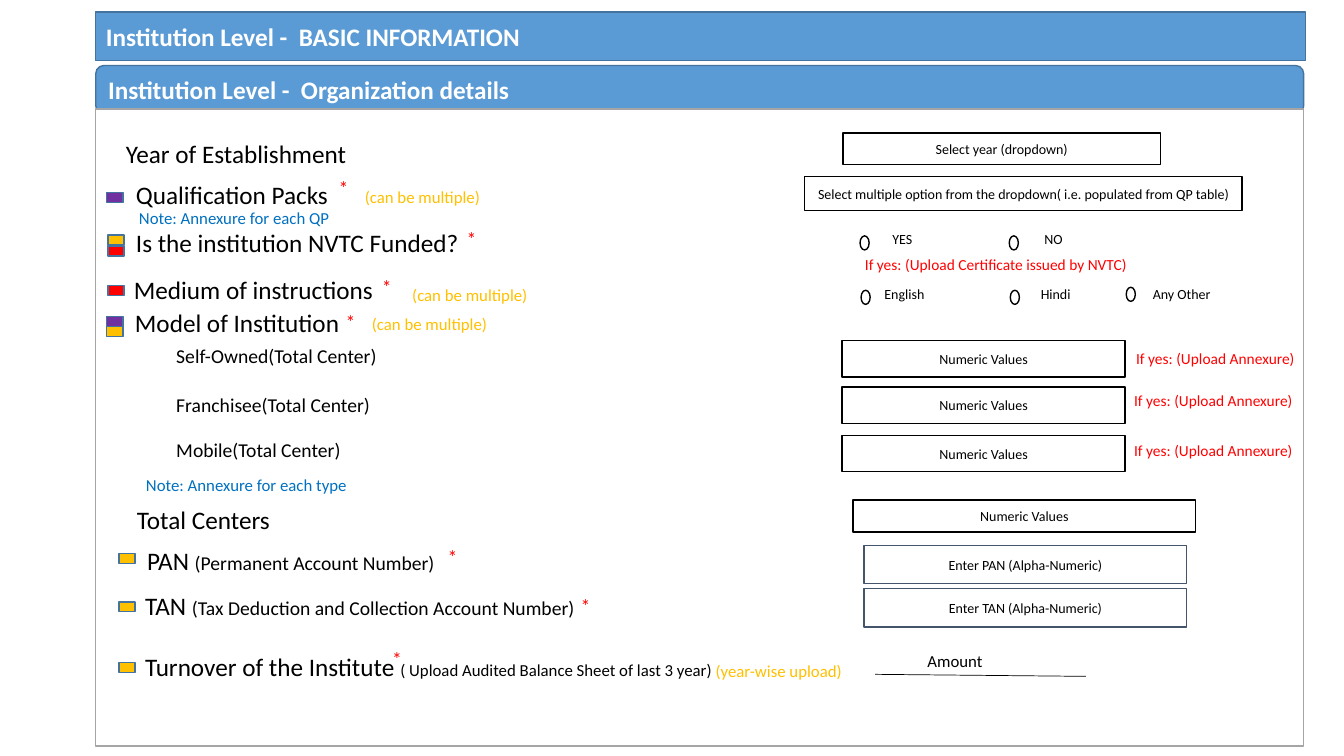
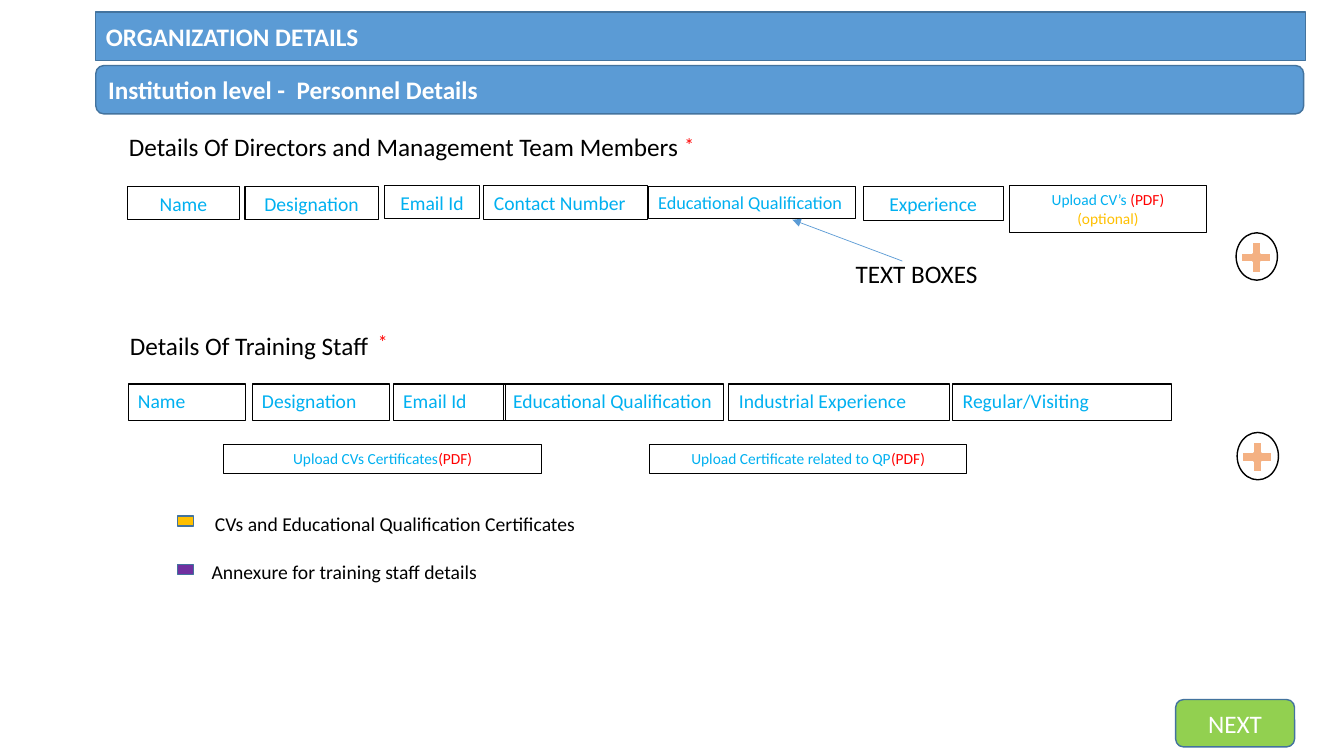
from dataclasses import dataclass

from lxml import etree
from pptx import Presentation
from pptx.dml.color import RGBColor
from pptx.enum.shapes import MSO_CONNECTOR, MSO_SHAPE
from pptx.enum.text import MSO_ANCHOR, MSO_AUTO_SIZE, PP_ALIGN
from pptx.oxml.ns import qn
from pptx.util import Inches, Pt

RECTANGLE = MSO_SHAPE.RECTANGLE
ROUNDED = MSO_SHAPE.ROUNDED_RECTANGLE
OVAL = MSO_SHAPE.OVAL
MINUS = MSO_SHAPE.MATH_MINUS
PLUS = MSO_SHAPE.MATH_PLUS
STRAIGHT = MSO_CONNECTOR.STRAIGHT
LEFT, CENTER = PP_ALIGN.LEFT, PP_ALIGN.CENTER
TOP, MIDDLE = MSO_ANCHOR.TOP, MSO_ANCHOR.MIDDLE
NO_AUTOFIT = MSO_AUTO_SIZE.NONE


@dataclass(frozen=True)
class Theme:
    font: str = "Calibri"
    black: str = "000000"
    white: str = "FFFFFF"
    band: str = "5B9BD5"
    edge: str = "43739E"
    panel_edge: str = "A5A5A5"
    slate: str = "44546A"
    red: str = "FF0000"
    amber: str = "FFC000"
    purple: str = "7030A0"
    note: str = "0070C0"
    field: str = "00B0F0"
    peach: str = "F4B183"
    green: str = "92D050"
    heading: int = 18
    label: int = 14
    compact: int = 13
    hint: int = 12
    upload: int = 11
    small: int = 10


THEME = Theme()
TITLE_BOX = (0.95, 0.12, 12, 0.48)
SUBTITLE_BOX = (0.95, 0.65, 11.98, 0.48)


def write_text(shape, *paragraphs, size=THEME.heading, color=THEME.black,
               bold=False, align=LEFT, anchor=TOP):
    frame = shape.text_frame
    frame.word_wrap = True
    frame.auto_size = NO_AUTOFIT
    frame.vertical_anchor = anchor
    for index, runs in enumerate(paragraphs):
        paragraph = frame.paragraphs[0] if index == 0 else frame.add_paragraph()
        paragraph.alignment = align
        for text, changes in [(runs, {})] if isinstance(runs, str) else runs:
            run = paragraph.add_run()
            run.text = text
            run.font.name = THEME.font
            run.font.bold = bold
            run.font.size = Pt(changes.get("size", size))
            run.font.color.rgb = RGBColor.from_string(changes.get("color", color))


def paint(shape, fill, line, width):
    if fill:
        shape.fill.solid()
        shape.fill.fore_color.rgb = RGBColor.from_string(fill)
    else:
        shape.fill.background()
    shape.line.color.rgb = RGBColor.from_string(line)
    shape.line.width = Pt(width)


def add_block(slide, kind, box, fill=None, line=THEME.black, width=1):
    shape = slide.shapes.add_shape(kind, *map(Inches, box))
    shape.shadow.inherit = False
    paint(shape, fill, line, width)
    return shape


def add_label(slide, left, top, width, height, *paragraphs, **text_format):
    box = slide.shapes.add_textbox(*map(Inches, (left, top, width, height)))
    write_text(box, *paragraphs, **text_format)


def add_field(slide, box, text, line=THEME.black):
    shape = add_block(slide, RECTANGLE, box, line=line)
    write_text(shape, text, size=THEME.small, align=CENTER, anchor=MIDDLE)


def add_column_box(slide, box, *paragraphs, **text_format):
    shape = add_block(slide, RECTANGLE, box, width=0.75)
    write_text(shape, *paragraphs, **{"color": THEME.field, **text_format})


def add_marker(slide, left, top, color):
    add_block(slide, MINUS, (left, top, 0.22, 0.42), color, THEME.edge)


def add_star(slide, left, top):
    add_label(slide, left, top, 0.65, 0.34, "*", size=THEME.label, color=THEME.red)


def add_radio(slide, left, top):
    add_block(slide, OVAL, (left, top, 0.09, 0.14))


def add_plus_button(slide, left, top):
    add_block(slide, OVAL, (left, top, 0.41, 0.47), THEME.white)
    add_block(slide, PLUS, (left, top + 0.04, 0.4, 0.41), THEME.peach, THEME.white, 1.5)


def add_line(slide, start, end, color, arrow=False):
    connector = slide.shapes.add_connector(STRAIGHT, *map(Inches, start + end))
    connector.line.color.rgb = RGBColor.from_string(color)
    connector.line.width = Pt(0.5)
    properties = connector.element.spPr
    if arrow:
        etree.SubElement(properties.find(qn("a:ln")), qn("a:tailEnd"), type="triangle")
    etree.SubElement(properties, qn("a:effectLst"))


def start_slide(presentation, title, subtitle):
    slide = presentation.slides.add_slide(presentation.slide_layouts[5])
    heading = slide.shapes.title
    heading.left, heading.top, heading.width, heading.height = map(Inches, TITLE_BOX)
    geometry = etree.SubElement(heading.element.spPr, qn("a:prstGeom"), prst="roundRect")
    etree.SubElement(geometry, qn("a:avLst"))
    paint(heading, THEME.band, THEME.edge, 1)
    band = add_block(slide, ROUNDED, SUBTITLE_BOX, THEME.band, THEME.edge)
    for shape, text in ((heading, title), (band, subtitle)):
        write_text(shape, text, color=THEME.white, bold=True, anchor=MIDDLE)
    return slide


def build_organization(presentation):
    slide = start_slide(presentation, "Institution Level -  BASIC INFORMATION",
                        "Institution Level -  Organization details")
    add_block(slide, RECTANGLE, (0.95, 1.08, 11.98, 6.32), THEME.white, THEME.panel_edge)

    label, hint = {"size": THEME.label}, {"size": THEME.hint}
    for left, top, runs in (
        (1.15, 1.32, "Year of Establishment"),
        (1.25, 1.73, "Qualification Packs"),
        (1.25, 2.21, "Is the institution NVTC Funded?"),
        (1.23, 2.67, "Medium of instructions"),
        (1.24, 3, "Model of Institution"),
        (1.26, 4.95, "Total Centers"),
        (1.36, 5.36, [("PAN ", {}), ("(Permanent Account Number)", label)]),
        (1.34, 5.81, [("TAN ", {}),
                      ("(Tax Deduction and Collection Account Number)", label)]),
        (1.34, 6.41, [("Turnover of the Institute ", {}),
                      ("( Upload Audited Balance Sheet of last 3 year)", hint)]),
    ):
        add_label(slide, left, top, 5.91, 0.4, runs)

    for left, top, color in (
        (1.03, 1.75, THEME.purple), (1.04, 2.17, THEME.amber),
        (1.04, 2.28, THEME.red), (1.04, 2.67, THEME.red),
        (1.03, 2.98, THEME.purple), (1.03, 3.08, THEME.amber),
        (1.15, 5.33, THEME.amber), (1.15, 5.81, THEME.amber),
        (1.15, 6.41, THEME.amber),
    ):
        add_marker(slide, left, top, color)

    for left, top in ((3.26, 1.7), (4.53, 2.2), (3.69, 2.68), (3.33, 3.03),
                      (4.34, 5.36), (5.66, 5.84), (3.79, 6.37)):
        add_star(slide, left, top)

    for left, top, text, color in (
        (3.52, 1.8, "(can be multiple)", THEME.amber),
        (3.99, 2.78, "(can be multiple)", THEME.amber),
        (3.59, 3.06, "(can be multiple)", THEME.amber),
        (7, 6.51, "(year-wise upload)", THEME.amber),
        (1.28, 2.01, "Note: Annexure for each QP", THEME.note),
        (1.35, 4.66, "Note: Annexure for each type", THEME.note),
        (9.1, 6.41, "Amount", THEME.black),
    ):
        add_label(slide, left, top, 2.3, 0.3, text, size=THEME.hint, color=color)

    for left, top in ((8.53, 2.34), (10.01, 2.34),
                      (8.54, 2.88), (10.02, 2.88), (11.17, 2.85)):
        add_radio(slide, left, top)
    for left, top, text in ((7.45, 2.24, "YES"), (8.95, 2.24, "NO"),
                            (7.47, 2.78, "English"), (8.97, 2.78, "Hindi"),
                            (10.22, 2.78, "Any Other")):
        add_label(slide, left, top, 3, 0.27, text, size=THEME.small, align=CENTER)

    upload = {"size": THEME.upload, "color": THEME.red}
    add_label(slide, 8.48, 2.48, 2.94, 0.29,
              "If yes: (Upload Certificate issued by NVTC)", **upload)
    for name, label_top, field_top, upload_left, upload_top in (
        ("Self-Owned", 3.36, 3.38, 11.17, 3.41),
        ("Franchisee", 3.85, 3.84, 11.15, 3.83),
        ("Mobile", 4.3, 4.32, 11.15, 4.33),
    ):
        add_label(slide, 1.65, label_top, 6, 0.34, f"{name}(Total Center)", **label)
        add_field(slide, (8.35, field_top, 2.81, 0.36), "Numeric Values")
        add_label(slide, upload_left, upload_top, 1.9, 0.29,
                  "If yes: (Upload Annexure)", **upload)

    add_field(slide, (8.36, 1.32, 3.15, 0.31), "Select year (dropdown)")
    add_field(slide, (7.98, 1.75, 4.34, 0.34),
              "Select multiple option from the dropdown( i.e. populated from QP table)")
    add_field(slide, (8.46, 4.96, 3.4, 0.32), "Numeric Values")
    for name, top in (("PAN", 5.41), ("TAN", 5.84)):
        add_field(slide, (8.57, top, 3.2, 0.38), f"Enter {name} (Alpha-Numeric)",
                  THEME.slate)
    add_line(slide, (8.68, 6.69), (10.77, 6.71), THEME.black)


def build_personnel(presentation):
    slide = start_slide(presentation, "ORGANIZATION DETAILS",
                        "Institution level -  Personnel Details")
    for left, top, text, star_left, star_top in (
        (1.18, 1.25, "Details Of Directors and Management Team Members", 6.69, 1.27),
        (1.19, 3.23, "Details Of Training Staff", 3.65, 3.22),
    ):
        add_label(slide, left, top, 6.15, 0.4, text)
        add_star(slide, star_left, star_top)

    for left, top, width, height, text, size, align in (
        (1.26, 1.85, 1.12, 0.33, "Name", THEME.label, CENTER),
        (2.43, 1.85, 1.32, 0.33, "Designation", THEME.label, CENTER),
        (3.81, 1.84, 0.95, 0.33, "Email Id", THEME.label, CENTER),
        (4.8, 1.84, 1.62, 0.34, "Contact Number", THEME.label, LEFT),
        (6.43, 1.85, 2.06, 0.32, "Educational Qualification", THEME.compact, LEFT),
        (8.56, 1.85, 1.39, 0.34, "Experience", THEME.label, CENTER),
    ):
        add_column_box(slide, (left, top, width, height), text, size=size, align=align)

    for left, width, text in (
        (1.27, 1.17, "Name"), (2.5, 1.36, "Designation"), (3.9, 1.11, "Email Id"),
        (4.99, 2.19, "Educational Qualification"),
        (7.23, 2.19, "Industrial Experience"), (9.45, 2.17, "Regular/Visiting"),
    ):
        add_column_box(slide, (left, 3.81, width, 0.36), text, size=THEME.label)

    pdf = ("(PDF)", {"color": THEME.red})
    optional = [("(optional)", {"color": THEME.amber})]
    for box, *paragraphs in (
        ((10.01, 1.84, 1.96, 0.47), [("Upload CV’s ", {}), pdf], optional),
        ((2.22, 4.41, 3.15, 0.29), [("Upload CVs Certificates", {}), pdf]),
        ((6.44, 4.41, 3.15, 0.29), [("Upload Certificate related to QP", {}), pdf]),
    ):
        add_column_box(slide, box, *paragraphs, size=THEME.upload, align=CENTER)

    add_plus_button(slide, 12.26, 2.31)
    add_plus_button(slide, 12.27, 4.29)
    add_line(slide, (8.95, 2.59), (7.86, 2.18), THEME.band, arrow=True)
    add_label(slide, 7.59, 2.51, 3, 0.4, "TEXT BOXES", align=CENTER)

    for left, top, text, color, align in (
        (1.99, 5.03, "CVs and Educational Qualification Certificates", THEME.amber, CENTER),
        (2, 5.51, "Annexure for training staff details", THEME.purple, LEFT),
    ):
        add_marker(slide, 1.73, top - 0.07, color)
        add_label(slide, left, top, 3.86, 0.34, text, size=THEME.label, align=align)

    button = add_block(slide, ROUNDED, (11.66, 6.94, 1.18, 0.47), THEME.green, THEME.edge)
    write_text(button, "NEXT", color=THEME.white, align=CENTER, anchor=MIDDLE)


def main():
    presentation = Presentation()
    presentation.slide_width = Inches(13.33)
    presentation.slide_height = Inches(7.5)
    build_organization(presentation)
    build_personnel(presentation)
    presentation.save("out.pptx")


if __name__ == "__main__":
    main()
